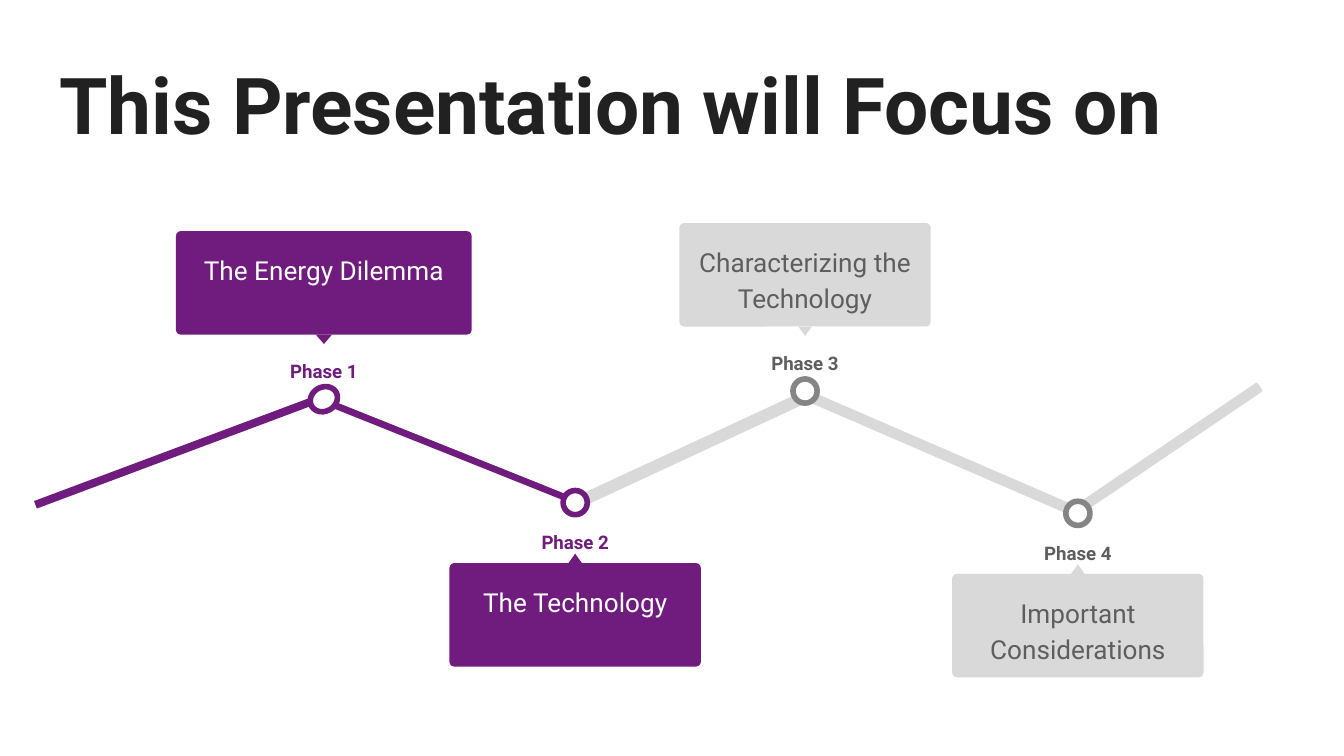
from pptx import Presentation
from pptx.dml.color import RGBColor
from pptx.enum.shapes import MSO_SHAPE
from pptx.enum.text import MSO_ANCHOR, PP_ALIGN
from pptx.util import Inches, Pt

BAR = CARD = MSO_SHAPE.ROUNDED_RECTANGLE
MARKER = MSO_SHAPE.OVAL
POINTER = MSO_SHAPE.ISOSCELES_TRIANGLE
TOP = MSO_ANCHOR.TOP
LEFT, CENTER = PP_ALIGN.LEFT, PP_ALIGN.CENTER

THEME = {
    "font": "Roboto",
    "ink": "212121", "white": "FFFFFF", "purple": "701C7F",
    "light": "D9D9D9", "mid": "858585", "dark": "5E5E5E",
    "title_size": 42, "card_size": 14, "phase_size": 10, "marker_line": 3,
}


def add_filled(kind, left, top, width, height, color, rotation=0):
    shape = slide.shapes.add_shape(
        kind, Inches(left), Inches(top), Inches(width), Inches(height))
    shape.shadow.inherit = False
    shape.fill.solid()
    shape.fill.fore_color.rgb = RGBColor.from_string(THEME[color])
    shape.line.fill.background()
    shape.rotation = rotation
    return shape


def write(holder, text, size, color, bold, align):
    frame = holder.text_frame
    frame.text = text
    frame.word_wrap = True
    frame.vertical_anchor = TOP
    frame.margin_left = frame.margin_right = Inches(0.1)
    frame.margin_top = frame.margin_bottom = Inches(0.1)
    paragraph = frame.paragraphs[0]
    paragraph.alignment = align
    font = paragraph.runs[0].font
    font.name = THEME["font"]
    font.size = Pt(THEME[size])
    font.bold = bold
    font.color.rgb = RGBColor.from_string(THEME[color])
    return paragraph


prs = Presentation()
prs.slide_width = Inches(10)
prs.slide_height = Inches(10 * 9 / 16)
slide = prs.slides.add_slide(prs.slide_layouts[5])

title = slide.shapes.title
title.left, title.top = Inches(0.34), Inches(0.32)
title.width, title.height = Inches(9.32), Inches(0.88)
write(title, "This Presentation will Focus on", "title_size", "ink", True, LEFT)

segments = [
    (7.83, 3.31, 1.69, 0.08, 145.9, 0.2, "light"),
    (5.94, 3.35, 2.2, 0.08, 203.4, 0.5, "light"),
    (4.16, 3.31, 1.93, 0.09, 335.1, 0.5, "light"),
    (2.38, 3.35, 2.02, 0.05, 21.8, 0.5, "purple"),
    (0.19, 3.32, 2.32, 0.06, 339.5, 0, "purple"),
]
for left, top, width, height, angle, rounding, color in segments:
    bar = add_filled(BAR, left, top, width, height, color, angle)
    bar.adjustments[0] = rounding

ABOVE = {"phase": -0.32, "card": -1.16, "pointer": -0.39, "angle": 180}
BELOW = {"phase": 0.18, "card": 0.54, "pointer": 0.47, "angle": 0}
PURPLE = {"card": "purple", "text": "white", "accent": "purple", "phase": "purple"}
GREY = {"card": "light", "text": "dark", "accent": "mid", "phase": "dark"}

phases = [
    ("Phase 1", "The Energy Dilemma", 2.41, 2.88, 2.2, 0.21, 0.12, ABOVE, PURPLE),
    ("Phase 2", "The Technology", 4.28, 3.65, 1.87, 0.18, 0.1, BELOW, PURPLE),
    ("Phase 3", "Characterizing the Technology", 5.99, 2.82, 1.87, 0.18, 0.1, ABOVE, GREY),
    ("Phase 4", "Important Considerations", 8.02, 3.73, 1.87, 0.18, 0.1, BELOW, GREY),
]
for phase, topic, center, top, card_width, marker_width, pointer_width, side, colors in phases:
    card_top = top + side["card"]
    card = add_filled(CARD, center - card_width / 2, card_top,
                      card_width, 0.77, colors["card"])
    card.adjustments[0] = 0.045
    add_filled(POINTER, center - pointer_width / 2, top + side["pointer"],
               pointer_width, 0.07, colors["card"], side["angle"])

    labels = [
        (phase, top + side["phase"], 0.76, 0.3, "phase_size", "phase", True),
        (topic, card_top + 0.04, card_width - 0.08, 0.68, "card_size", "text", False),
    ]
    for text, label_top, width, height, size, role, bold in labels:
        label = slide.shapes.add_textbox(
            Inches(center - width / 2), Inches(label_top), Inches(width), Inches(height))
        paragraph = write(label, text, size, colors[role], bold, CENTER)
        paragraph.line_spacing = 1.15
        paragraph.space_after = Pt(16)

    marker = add_filled(MARKER, center - marker_width / 2, top,
                        marker_width, 0.18, "white", 330.2)
    marker.line.color.rgb = RGBColor.from_string(THEME[colors["accent"]])
    marker.line.width = Pt(THEME["marker_line"])

prs.save("out.pptx")
